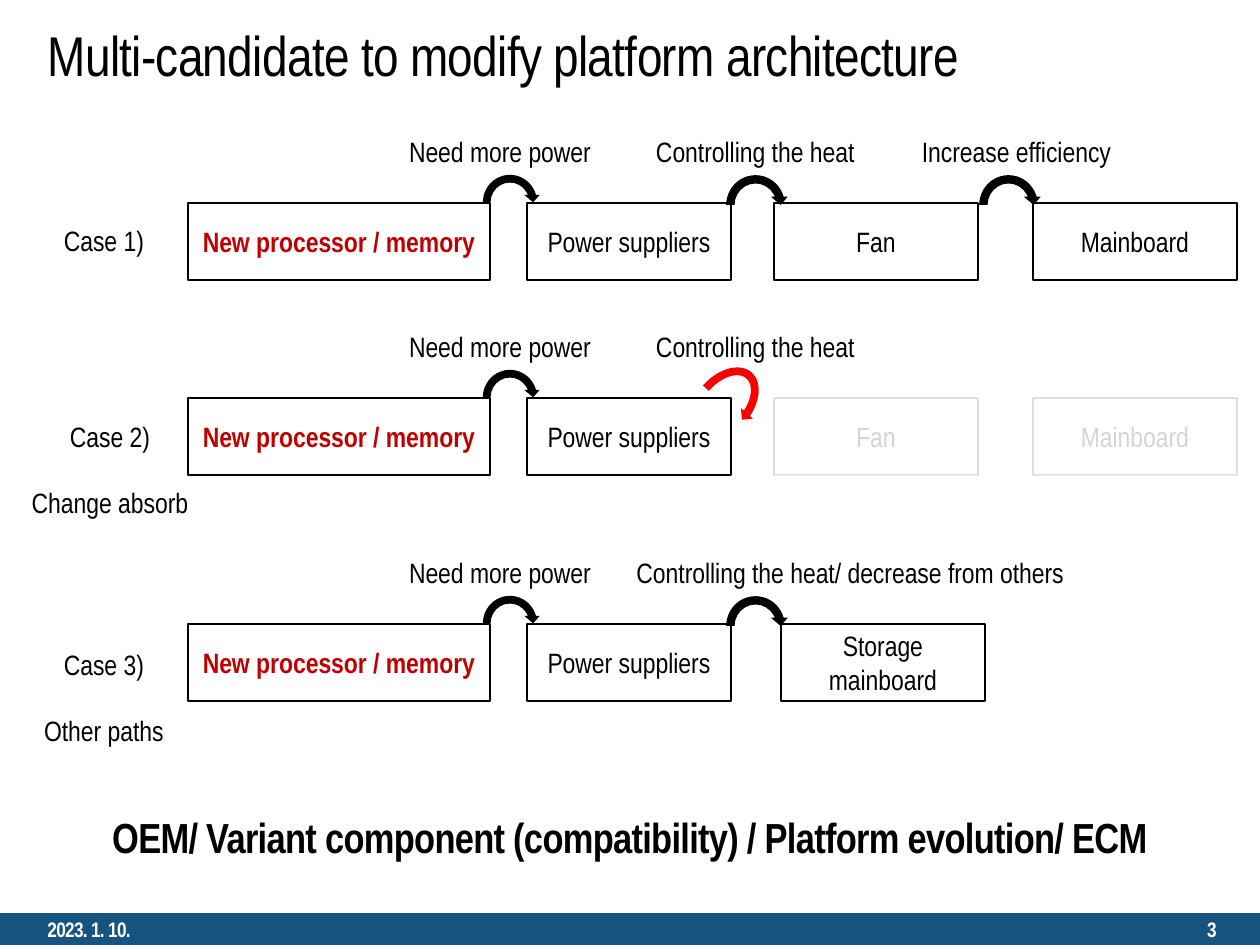
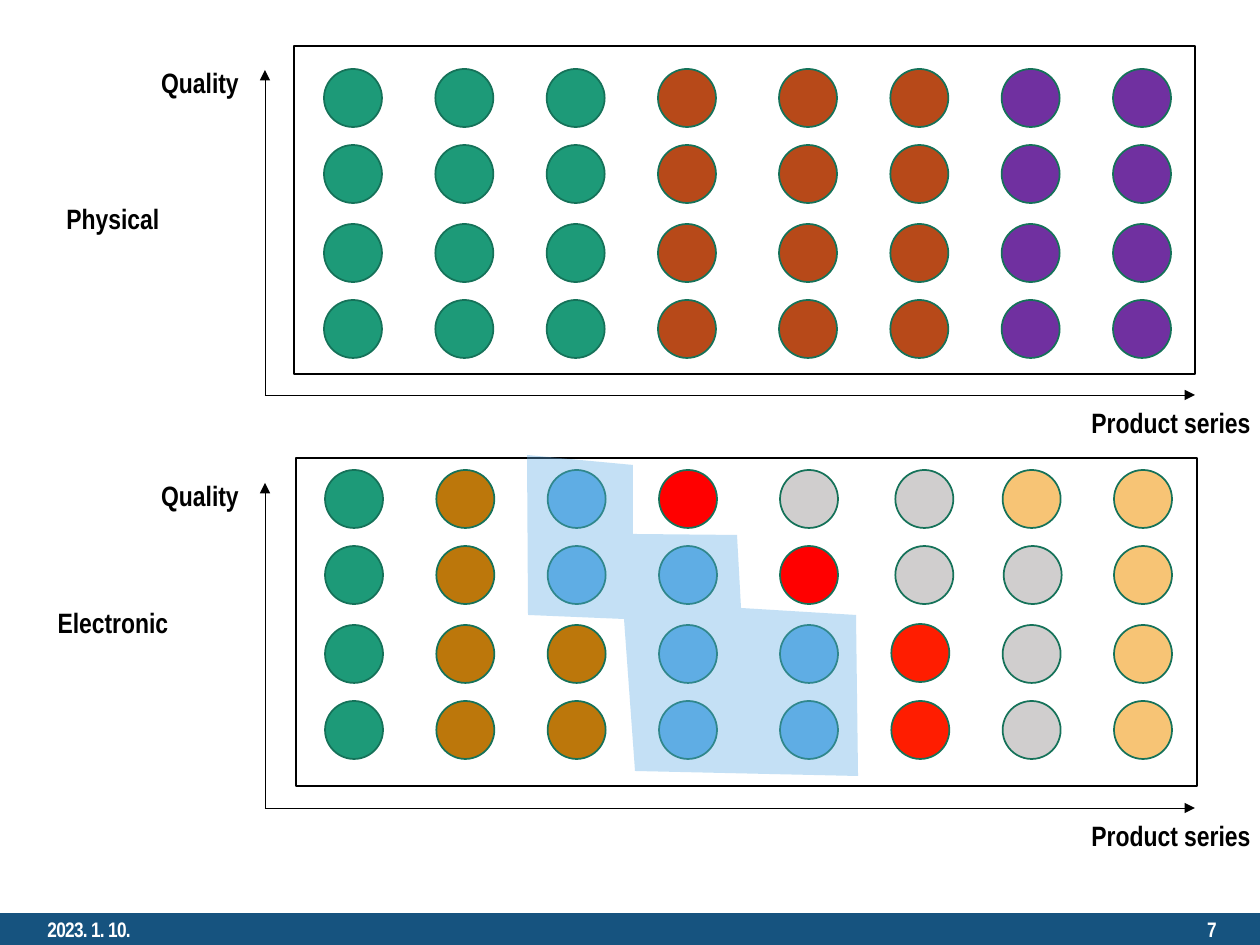
import dataclasses

import lxml.etree
import pptx
import pptx.dml.color
import pptx.enum.shapes
import pptx.enum.text
import pptx.oxml.ns
import pptx.util

SHAPE = pptx.enum.shapes.MSO_SHAPE
ALIGN = pptx.enum.text.PP_ALIGN
ANCHOR = pptx.enum.text.MSO_ANCHOR
qn = pptx.oxml.ns.qn


@dataclasses.dataclass(frozen=True)
class Theme:
    font: str = "Arial Narrow"
    title_size: int = 32
    conclusion_size: int = 24
    label_size: int = 16
    footer_size: int = 12
    tight: int = -40  # character spacing, hundredths of a point
    ink: str = "000000"
    paper: str = "FFFFFF"
    band: str = "16537F"
    changed: str = "C00000"
    alert: str = "FF0000"
    dot_edge: str = "157259"
    region: str = "5FADE5"
    region_alpha: int = 37
    faded_line: int = 12
    faded_text: int = 17


THEME = Theme()
EMU_PER_PX = 914400 / 126
SLIDE_WIDTH, SLIDE_HEIGHT = 1260, 945

# Shared footer
DATE = "2023. 1. 10."
BAND = (0, 913, 1260, 32)
DATE_PLACE = (35, 913, 284, 32)
NUMBER_PLACE = (945, 913, 284, 32)

# Change propagation slide
TITLE = "Multi-candidate to modify platform architecture"
TITLE_PLACE = (35, 14, 1182, 81)
CONCLUSION = "OEM/ Variant component (compatibility) / Platform evolution/ ECM"
CONCLUSION_PLACE = (39, 796, 1182, 81)
BOX_HEIGHT = 77
CAPTION_RISE, CAPTION_HEIGHT = 75, 47
CASE_LINE_GAP = 19  # points

# Boxes: lines, left, width. Arrows: left, rise above boxes, width, height.
# Captions: text, left, width.
PROCESSOR = (["New processor / memory"], 188, 302)
POWER = (["Power suppliers"], 527, 204)
FAN = (["Fan"], 774, 204)
MAINBOARD = (["Mainboard"], 1033, 204)
STORAGE = (["Storage", "mainboard"], 781, 204)
POWER_ARROW = (479, 32, 62, 63)
HEAT_ARROW = (722, 32, 67, 68)
EFFICIENCY_ARROW = (975, 32, 67, 68)
ABSORBED_ARROW = (692, 40, 64, 92)
ABSORBED_TURN = 41.2
NEED_POWER = ("Need more power", 294, 412)
CONTROL_HEAT = ("Controlling the heat ", 640, 237)

CASES = [
    dict(top=203, label=["Case 1)"], label_place=(28, 217, 152, 47),
         boxes=[PROCESSOR, POWER, FAN, MAINBOARD], faded=[],
         arrows=[POWER_ARROW, HEAT_ARROW, EFFICIENCY_ARROW],
         captions=[NEED_POWER, CONTROL_HEAT, ("Increase efficiency", 898, 237)]),
    dict(top=398, label=["Case 2)", "Change absorb"], label_place=(-2, 413, 224, 115),
         boxes=[PROCESSOR, POWER], faded=[FAN, MAINBOARD],
         arrows=[POWER_ARROW, ABSORBED_ARROW],
         captions=[NEED_POWER, CONTROL_HEAT]),
    dict(top=624, label=["Case 3)", "Other paths"], label_place=(28, 641, 152, 115),
         boxes=[PROCESSOR, POWER, STORAGE], faded=[],
         arrows=[POWER_ARROW, HEAT_ARROW],
         captions=[NEED_POWER,
                   ("Controlling the heat/ decrease from others ", 606, 495)]),
]

# Product grid slide: one letter per dot
DOT_COLORS = {
    "G": "1D9A78", "R": "B74919", "P": "7030A0", "O": "BC770B", "B": "5FADE4",
    "X": "FF0000", "F": "FF1D00", "S": "D0CECE", "A": "F7C475",
}
PANELS = [
    dict(name="Physical", name_top=188, frame=(294, 46), dots=(324, 69), axis_bottom=395,
         rows=["GGGRRRPP"] * 4, nudges={}),
    dict(name="Electronic", name_top=592, frame=(296, 458), dots=(325, 470), axis_bottom=808,
         rows=["GOBXSSAA", "GOBBXSSA", "GOOBBFSA", "GOOBBFSA"],
         nudges={(0, 5): (4, 0), (1, 5): (4, 0), (1, 6): (1, 0), (2, 5): (0, -1)}),
]
DOT_SIZE = 58
BLOCK_COLUMNS, BLOCK_SPAN, BLOCK_STEP = 4, 334, 455
ROW_STEP, MIDDLE_EXTRA = 76, 3
FRAME_WIDTH, FRAME_HEIGHT = 901, 328
AXIS_LEFT, AXIS_RIGHT, AXIS_HEIGHT = 265, 1195, 325
LABEL_WIDTH, LABEL_HEIGHT = 238, 60
REGION = [(527, 455), (528, 615), (624, 619), (635, 771), (858, 776),
          (856, 615), (741, 608), (737, 535), (633, 534), (633, 465)]


def emu(*lengths):
    return [pptx.util.Emu(round(length * EMU_PER_PX)) for length in lengths]


def rgb(color):
    return pptx.dml.color.RGBColor.from_string(color)


def set_alpha(element, percent):
    """Make every colour inside the element partly transparent."""
    for color in element.iter(qn("a:srgbClr")):
        lxml.etree.SubElement(color, qn("a:alpha"), val=str(percent * 1000))


def write(frame, lines, *, size=THEME.label_size, color=THEME.ink, bold=False,
          align=ALIGN.CENTER, anchor=ANCHOR.MIDDLE, spacing=None, gap=0):
    frame.word_wrap = True
    frame.auto_size = pptx.enum.text.MSO_AUTO_SIZE.NONE
    frame.vertical_anchor = anchor
    for index, line in enumerate(lines):
        paragraph = frame.add_paragraph() if index else frame.paragraphs[0]
        paragraph.alignment = align
        paragraph.space_before = pptx.util.Pt(gap if index else 0)
        run = paragraph.add_run()
        run.text = line
        run.font.name = THEME.font
        run.font.size = pptx.util.Pt(size)
        run.font.bold = bold
        run.font.color.rgb = rgb(color)
        if spacing is not None:
            run.font._element.set("spc", str(spacing))


def add_label(slide, place, lines, **text_format):
    box = slide.shapes.add_textbox(*emu(*place))
    write(box.text_frame, lines, **text_format)


def style(shape, fill=None, line=None):
    shape.shadow.inherit = False
    if fill:
        shape.fill.solid()
        shape.fill.fore_color.rgb = rgb(fill)
    else:
        shape.fill.background()
    if line:
        shape.line.color.rgb = rgb(line)
        shape.line.width = pptx.util.Pt(1)
    else:
        shape.line.fill.background()
    return shape


def add_shape(slide, kind, place, fill=None, line=None):
    return style(slide.shapes.add_shape(kind, *emu(*place)), fill, line)


def add_axis(slide, start, end):
    axis = slide.shapes.add_connector(
        pptx.enum.shapes.MSO_CONNECTOR.STRAIGHT, *emu(*start, *end))
    axis.line.color.rgb = rgb(THEME.ink)
    axis.line.width = pptx.util.Pt(0.5)
    properties = axis.element.spPr
    lxml.etree.SubElement(properties.find(qn("a:ln")), qn("a:tailEnd"), type="triangle")
    lxml.etree.SubElement(properties, qn("a:effectLst"))


def move_band_to_master(slide):
    band = add_shape(slide, SHAPE.RECTANGLE, BAND, fill=THEME.band)
    master_tree = slide.slide_layout.slide_master.shapes.element
    band.element.nvSpPr.cNvPr.set("id", str(len(master_tree) + 10))
    master_tree.append(band.element)


def add_footer(slide, number):
    for place, text, align in ((DATE_PLACE, DATE, ALIGN.LEFT),
                               (NUMBER_PLACE, number, ALIGN.RIGHT)):
        add_label(slide, place, [text], size=THEME.footer_size, color=THEME.paper,
                  bold=True, align=align, spacing=THEME.tight)


def add_component(slide, component, top, faded=False):
    lines, left, width = component
    box = add_shape(slide, SHAPE.RECTANGLE, (left, top, width, BOX_HEIGHT), line=THEME.ink)
    changed = component is PROCESSOR
    write(box.text_frame, lines, bold=changed,
          color=THEME.changed if changed else THEME.ink)
    if faded:
        set_alpha(box.element.spPr, THEME.faded_line)
        set_alpha(box.element.txBody, THEME.faded_text)


def add_case(slide, case):
    top = case["top"]
    for component in case["boxes"]:
        add_component(slide, component, top)
    for component in case["faded"]:
        add_component(slide, component, top, faded=True)
    for arrow in case["arrows"]:
        left, rise, width, height = arrow
        absorbed = arrow is ABSORBED_ARROW
        shape = add_shape(slide, SHAPE.CIRCULAR_ARROW, (left, top - rise, width, height),
                          fill=THEME.alert if absorbed else THEME.ink)
        shape.rotation = ABSORBED_TURN if absorbed else 0
    for text, left, width in case["captions"]:
        add_label(slide, (left, top - CAPTION_RISE, width, CAPTION_HEIGHT), [text],
                  anchor=ANCHOR.TOP)
    add_label(slide, case["label_place"], case["label"], anchor=ANCHOR.TOP,
              gap=CASE_LINE_GAP)


def build_cases_slide(slide):
    title = slide.shapes.title
    title.left, title.top, title.width, title.height = emu(*TITLE_PLACE)
    write(title.text_frame, [TITLE], size=THEME.title_size, align=ALIGN.LEFT,
          spacing=THEME.tight)
    for case in CASES:
        add_case(slide, case)
    add_label(slide, CONCLUSION_PLACE, [CONCLUSION], size=THEME.conclusion_size,
              bold=True, spacing=THEME.tight)


def add_dots(slide, panel):
    """Place the dots in two equal blocks of columns and two pairs of rows."""
    left, top = panel["dots"]
    for row, letters in enumerate(panel["rows"]):
        for column, letter in enumerate(letters):
            block, position = divmod(column, BLOCK_COLUMNS)
            dx, dy = panel["nudges"].get((row, column), (0, 0))
            x = left + block * BLOCK_STEP + position * BLOCK_SPAN / (BLOCK_COLUMNS - 1) + dx
            y = top + row * ROW_STEP + row // 2 * MIDDLE_EXTRA + dy
            add_shape(slide, SHAPE.OVAL, (x, y, DOT_SIZE, DOT_SIZE),
                      fill=DOT_COLORS[letter], line=THEME.dot_edge)


def add_panel(slide, panel):
    add_dots(slide, panel)
    add_shape(slide, SHAPE.RECTANGLE, (*panel["frame"], FRAME_WIDTH, FRAME_HEIGHT),
              line=THEME.ink)
    bottom = panel["axis_bottom"]
    origin = (AXIS_LEFT, bottom)
    add_axis(slide, origin, (AXIS_LEFT, bottom - AXIS_HEIGHT))
    add_axis(slide, origin, (AXIS_RIGHT, bottom))
    for text, left, top in ((panel["name"], -6, panel["name_top"]),
                            ("Quality", 81, bottom - 343),
                            ("Product series", 1052, bottom - 3)):
        add_label(slide, (left, top, LABEL_WIDTH, LABEL_HEIGHT), [text], bold=True)


def build_grid_slide(slide):
    for panel in PANELS:
        add_panel(slide, panel)
    builder = slide.shapes.build_freeform(*REGION[0], scale=EMU_PER_PX)
    builder.add_line_segments(REGION[1:], close=True)
    region = style(builder.convert_to_shape(), fill=THEME.region)
    set_alpha(region.element.spPr, THEME.region_alpha)


def main():
    presentation = pptx.Presentation()
    presentation.slide_width, presentation.slide_height = emu(SLIDE_WIDTH, SLIDE_HEIGHT)
    title_only, blank = presentation.slide_layouts[5], presentation.slide_layouts[6]
    cases_slide = presentation.slides.add_slide(title_only)
    grid_slide = presentation.slides.add_slide(blank)
    move_band_to_master(cases_slide)
    add_footer(cases_slide, "3")
    add_footer(grid_slide, "7")
    build_cases_slide(cases_slide)
    build_grid_slide(grid_slide)
    presentation.save("out.pptx")


if __name__ == "__main__":
    main()
